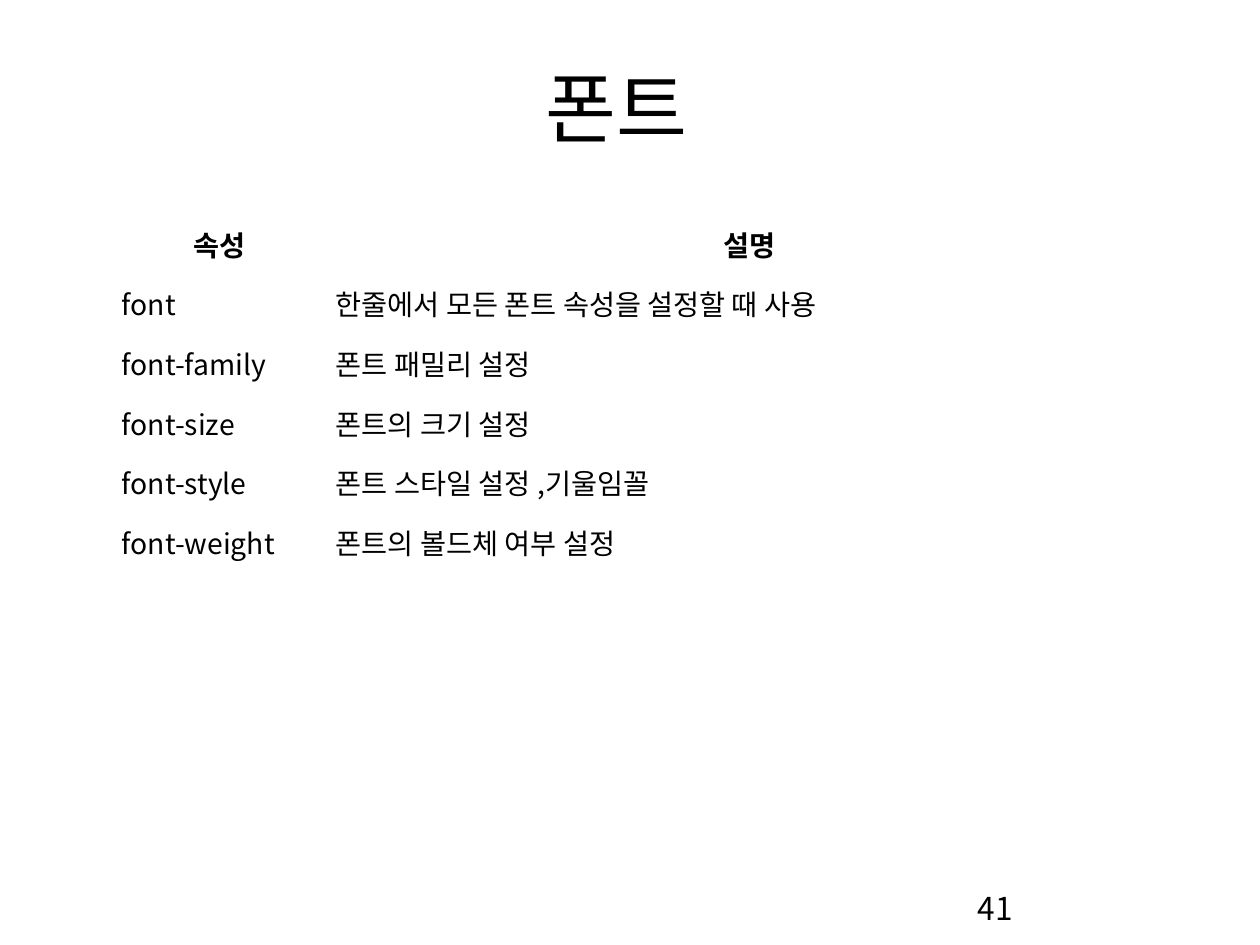
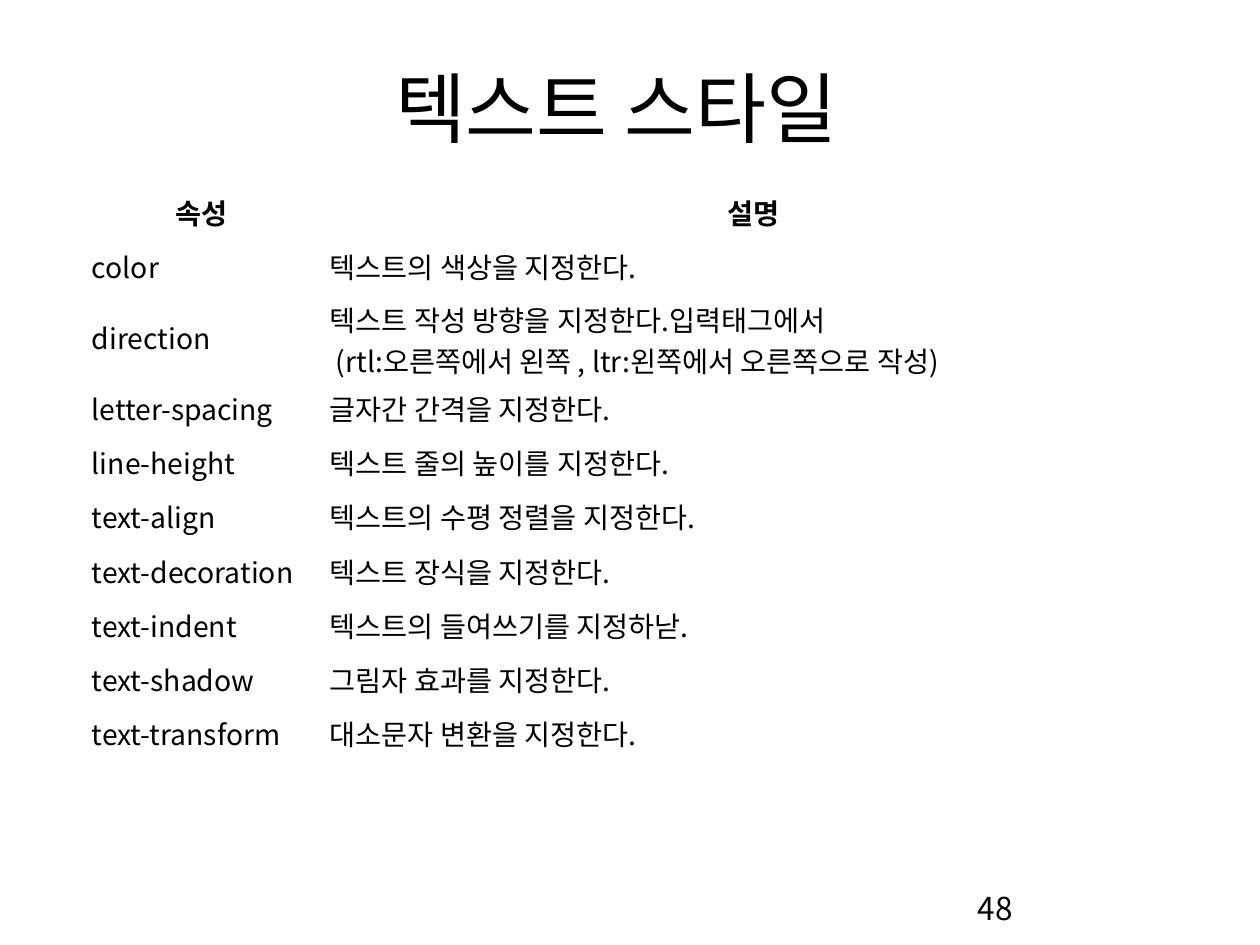
from lxml import etree
from pptx import Presentation
from pptx import util as u
from pptx.dml.color import RGBColor
from pptx.enum import text
from pptx.oxml import ns

PX = 914400 / 97


def px(length):
    """Turn a length in px into EMU."""
    return u.Emu(round(length * PX))


def color(code):
    return RGBColor.from_string(code)


class Deck:
    """Holds the shared style and the current page."""

    FONT = "Noto Sans CJK KR"
    INK = "000000"
    PAPER = "FFFFFF"
    TITLE_SIZE, TABLE_SIZE, NUMBER_SIZE = 57.2, 21, 23.4
    TITLE_ONLY = 5
    TALL_ROW = 87
    LINE_SPACING = 0.93

    def __init__(self, width, height):
        self.deck = Presentation()
        self.deck.slide_width, self.deck.slide_height = px(width), px(height)
        self.page = None

    def add_text(self, para, words, size, bold=False, align=None, spacing=None):
        span = para.add_run()
        span.text = words
        span.font.name = self.FONT
        span.font.size = u.Pt(size)
        span.font.bold = bold
        span.font.color.rgb = color(self.INK)
        east_asian = etree.SubElement(span._r.get_or_add_rPr(), ns.qn("a:ea"))
        east_asian.set("typeface", self.FONT)
        para.alignment = align
        para.line_spacing = spacing

    def add_page(self, title, number):
        self.page = self.deck.slides.add_slide(self.deck.slide_layouts[self.TITLE_ONLY])
        background = self.page.background.fill
        background.solid()
        background.fore_color.rgb = color(self.PAPER)
        self.title(title)
        self.page_number(number)

    def title(self, words):
        box = self.page.shapes.title
        box.left, box.top, box.width, box.height = map(px, (102, 59, 1029, 105))
        frame = box.text_frame
        frame.word_wrap = True
        frame.auto_size = text.MSO_AUTO_SIZE.NONE
        frame.vertical_anchor = text.MSO_ANCHOR.MIDDLE
        self.add_text(frame.paragraphs[0], words, self.TITLE_SIZE,
                      align=text.PP_ALIGN.CENTER, spacing=self.LINE_SPACING)

    def page_number(self, number):
        box = self.page.shapes.add_textbox(*map(px, (968, 888, 260, 58)))
        box.text_frame.word_wrap = True
        self.add_text(box.text_frame.paragraphs[0], str(number), self.NUMBER_SIZE,
                      spacing=self.LINE_SPACING)

    def table(self, left, top, widths, rows, row_area):
        """Share row_area px among the one-line rows; other rows are tall."""
        rows = [("속성", "설명"), *rows]
        tall = ["\n" in meaning for _, meaning in rows]
        row_height = row_area / tall.count(False)
        height = row_area + self.TALL_ROW * tall.count(True)
        grid = self.page.shapes.add_table(
            len(rows), len(widths), px(left), px(top), px(sum(widths)), px(height)).table
        grid.first_row = grid.horz_banding = False
        for column, width in zip(grid.columns, widths):
            column.width = px(width)
        for index, entries in enumerate(rows):
            grid.rows[index].height = px(self.TALL_ROW if tall[index] else row_height)
            for column, words in enumerate(entries):
                self.cell(grid.cell(index, column), words, header=index == 0)

    def cell(self, cell, words, header):
        cell.fill.background()
        cell.vertical_anchor = text.MSO_ANCHOR.MIDDLE
        cell.margin_left = cell.margin_right = px(9)
        cell.margin_top = cell.margin_bottom = px(5)
        align = text.PP_ALIGN.CENTER if header else text.PP_ALIGN.JUSTIFY
        frame = cell.text_frame
        for index, line in enumerate(words.split("\n")):
            para = frame.add_paragraph() if index else frame.paragraphs[0]
            self.add_text(para, line, self.TABLE_SIZE, bold=header, align=align)
            if index:
                para._p.get_or_add_pPr().set("marL", str(px(6)))


FONT_ROWS = [
    ("font", "한줄에서 모든 폰트 속성을 설정할 때 사용"),
    ("font-family", "폰트 패밀리 설정"),
    ("font-size", "폰트의 크기 설정"),
    ("font-style", "폰트 스타일 설정 ,기울임꼴"),
    ("font-weight", "폰트의 볼드체 여부 설정"),
]

TEXT_ROWS = [
    ("color", "텍스트의 색상을 지정한다."),
    ("direction", "텍스트 작성 방향을 지정한다.입력태그에서\n"
                  "(rtl:오른쪽에서 왼쪽 , ltr:왼쪽에서 오른쪽으로 작성)"),
    ("letter-spacing", "글자간 간격을 지정한다."),
    ("line-height", "텍스트 줄의 높이를 지정한다."),
    ("text-align", "텍스트의 수평 정렬을 지정한다."),
    ("text-decoration", "텍스트 장식을 지정한다."),
    ("text-indent", "텍스트의 들여쓰기를 지정하낟."),
    ("text-shadow", "그림자 효과를 지정한다."),
    ("text-transform", "대소문자 변환을 지정한다."),
]


def main():
    deck = Deck(1260, 945)
    deck.add_page("폰트", 41)
    deck.table(113, 214, (214, 846), FONT_ROWS, row_area=358)
    deck.add_page("텍스트 스타일", 48)
    deck.table(83, 185, (238, 865), TEXT_ROWS, row_area=489)
    deck.deck.save("out.pptx")


if __name__ == "__main__":
    main()
